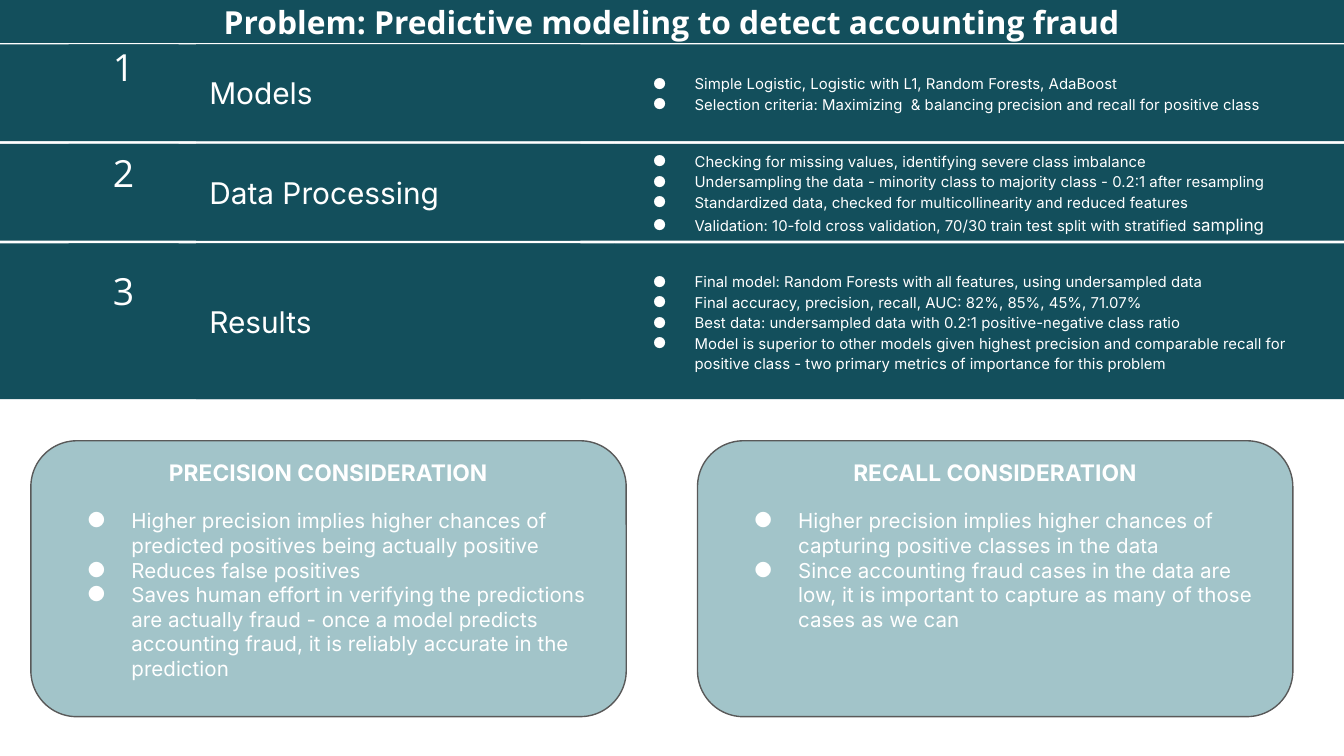
"""Build the accounting fraud summary slide: three findings rows above two metric cards."""
from dataclasses import dataclass
from typing import NamedTuple

from lxml import etree
from pptx import Presentation
from pptx import util as u
from pptx.dml import color
from pptx.enum import shapes, text
from pptx.oxml import ns


@dataclass(frozen=True)
class Theme:
    band: str = "134F5C"
    card: str = "A2C4C9"
    outline: str = "595959"
    ink: str = "FFFFFF"
    body: str = "Inter"
    display: str = "Open Sans"
    title: float = 17
    number: float = 20
    topic: float = 16
    detail: float = 8
    emphasis: float = 9
    heading: float = 12.2
    point: float = 11


class Area(NamedTuple):
    left: float
    top: float
    width: float
    height: float


class Sized(NamedTuple):
    words: str
    size: float


@dataclass(frozen=True)
class Finding:
    topic: str
    details: list
    height: float
    number_height: float
    number_anchor: text.MSO_ANCHOR = text.MSO_ANCHOR.MIDDLE


@dataclass(frozen=True)
class Metric:
    heading: str
    points: list


THEME = Theme()
WIDTH = u.Inches(10)
HEIGHT = u.Emu(WIDTH * 9 // 16)
SPLIT = 0.457
TITLE_HEIGHT, ROW_GAP = 0.057, 0.0036
CARD = Area(0.023, 0.583, 0.443, 0.365)
CARD_STEP = 0.496
CARD_TEXT = Area(0.038, 0.596, 0.413, 0.34)

FINDINGS = [
    Finding("Models", [
        "Simple Logistic, Logistic with L1, Random Forests, AdaBoost",
        "Selection criteria: Maximizing  & balancing precision and recall for positive class",
    ], 0.128, 0.077, text.MSO_ANCHOR.BOTTOM),
    Finding("Data Processing", [
        "Checking for missing values, identifying severe class imbalance",
        "Undersampling the data - minority class to majority class - 0.2:1 after resampling",
        "Standardized data, checked for multicollinearity and reduced features",
        ["Validation: 10-fold cross validation, 70/30 train test split with stratified ",
         Sized("sampling", THEME.emphasis)],
    ], 0.128, 0.077),
    Finding("Results", [
        "Final model: Random Forests with all features, using undersampled data",
        "Final accuracy, precision, recall, AUC: 82%, 85%, 45%, 71.07%",
        "Best data: undersampled data with 0.2:1 positive-negative class ratio",
        "Model is superior to other models given highest precision and comparable recall for "
        "positive class - two primary metrics of importance for this problem",
    ], 0.206, 0.125),
]

METRICS = [
    Metric("PRECISION CONSIDERATION", [
        "Higher precision implies higher chances of predicted positives being actually positive",
        "Reduces false positives",
        "Saves human effort in verifying the predictions are actually fraud - once a model "
        "predicts accounting fraud, it is reliably accurate in the prediction",
    ]),
    Metric("RECALL CONSIDERATION", [
        "Higher precision implies higher chances of capturing positive classes in the data",
        "Since accounting fraud cases in the data are low, it is important to capture as many "
        "of those cases as we can",
    ]),
]


def place(area: Area) -> tuple:
    """Turn shares of the slide into lengths."""
    return (u.Emu(round(area.left * WIDTH)), u.Emu(round(area.top * HEIGHT)),
            u.Emu(round(area.width * WIDTH)), u.Emu(round(area.height * HEIGHT)))


def rgb(value: str) -> color.RGBColor:
    """Read a theme colour."""
    return color.RGBColor.from_string(value)


def add_panel(slide, area: Area, fill: str, kind=shapes.MSO_SHAPE.RECTANGLE, line: str = ""):
    """Draw a flat filled shape, outlined when a line colour is given."""
    panel = slide.shapes.add_shape(kind, *place(area))
    panel.shadow.inherit = False
    panel.fill.solid()
    panel.fill.fore_color.rgb = rgb(fill)
    if line:
        panel.line.color.rgb = rgb(line)
        panel.line.width = u.Pt(0.75)
    else:
        panel.line.fill.background()
    return panel


def add_bullet(paragraph, hang: float) -> None:
    """Give a paragraph a hanging round bullet."""
    props = paragraph._p.get_or_add_pPr()
    props.set("marL", str(u.Inches(0.5)))
    props.set("indent", str(-u.Inches(hang)))
    tint = etree.SubElement(props, ns.qn("a:buClr"))
    etree.SubElement(tint, ns.qn("a:srgbClr"), val=THEME.ink)
    etree.SubElement(props, ns.qn("a:buFont"), typeface=THEME.body)
    etree.SubElement(props, ns.qn("a:buChar"), char="●")


def write(shape, lines: list, *, size: float, font: str = THEME.body, bold: bool = False,
          align=text.PP_ALIGN.LEFT, anchor=text.MSO_ANCHOR.MIDDLE,
          spacing: float = 1.0, after: float = 0, hang: float = 0) -> None:
    """Append formatted paragraphs to a shape."""
    frame = shape.text_frame
    frame.word_wrap = True
    frame.vertical_anchor = anchor
    frame.margin_left = frame.margin_right = u.Inches(0.1)
    frame.margin_top = frame.margin_bottom = u.Inches(0.1)
    for line in lines:
        paragraph = frame.add_paragraph() if frame.text else frame.paragraphs[0]
        paragraph.alignment = align
        paragraph.line_spacing = spacing
        paragraph.space_after = u.Pt(after)
        if hang:
            add_bullet(paragraph, hang)
        for part in line if isinstance(line, list) else [line]:
            words, points = part if isinstance(part, Sized) else (part, size)
            run = paragraph.add_run()
            run.text = words
            run.font.name, run.font.size, run.font.bold = font, u.Pt(points), bold
            run.font.color.rgb = rgb(THEME.ink)


def add_finding(slide, finding: Finding, number: int, top: float) -> None:
    """Draw one numbered row with its topic and details."""
    details = add_panel(slide, Area(SPLIT, top, 1 - SPLIT, finding.height), THEME.band)
    write(details, finding.details, size=THEME.detail, spacing=1.15, hang=0.31)
    add_panel(slide, Area(0, top, SPLIT, finding.height), THEME.band)
    badge = add_panel(slide, Area(0.051, top, 0.082, finding.number_height), THEME.band)
    write(badge, [str(number)], size=THEME.number, font=THEME.display,
          align=text.PP_ALIGN.CENTER, anchor=finding.number_anchor)
    topic = add_panel(slide, Area(0.146, top, 0.286, finding.height), THEME.band)
    write(topic, [finding.topic], size=THEME.topic)


def add_metric(slide, metric: Metric, column: int) -> None:
    """Draw one rounded card with its heading and points."""
    shift = column * CARD_STEP
    add_panel(slide, CARD._replace(left=CARD.left + shift), THEME.card,
              shapes.MSO_SHAPE.ROUNDED_RECTANGLE, THEME.outline)
    box = slide.shapes.add_textbox(*place(CARD_TEXT._replace(left=CARD_TEXT.left + shift)))
    write(box, [metric.heading], size=THEME.heading, bold=True, align=text.PP_ALIGN.CENTER,
          anchor=text.MSO_ANCHOR.TOP, spacing=0.8, after=12)
    write(box, metric.points, size=THEME.point, anchor=text.MSO_ANCHOR.TOP, hang=0.33)


def main() -> None:
    """Assemble and save the slide."""
    deck = Presentation()
    deck.slide_width, deck.slide_height = WIDTH, HEIGHT
    slide = deck.slides.add_slide(deck.slide_layouts[6])
    banner = add_panel(slide, Area(0, 0, 1, TITLE_HEIGHT), THEME.band)
    write(banner, ["Problem: Predictive modeling to detect accounting fraud"], size=THEME.title,
          font=THEME.display, bold=True, align=text.PP_ALIGN.CENTER)
    top = TITLE_HEIGHT + ROW_GAP / 2
    for number, finding in enumerate(FINDINGS, 1):
        add_finding(slide, finding, number, top)
        top += finding.height + ROW_GAP
    for column, metric in enumerate(METRICS):
        add_metric(slide, metric, column)
    deck.save("out.pptx")


if __name__ == "__main__":
    main()
